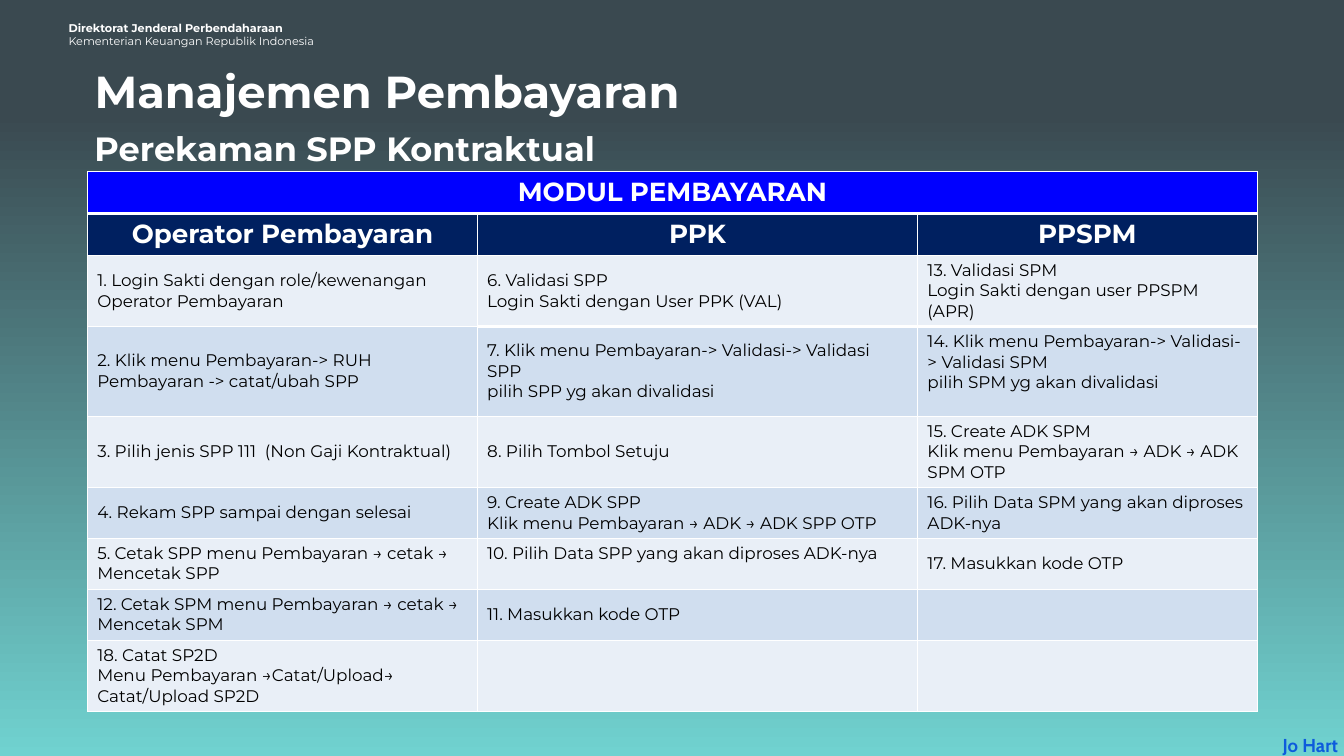
from dataclasses import dataclass

from lxml.etree import SubElement
from pptx import Presentation
from pptx.dml.color import RGBColor
from pptx.enum.text import MSO_ANCHOR, MSO_AUTO_SIZE, PP_ALIGN
from pptx.oxml.ns import qn
from pptx.util import Emu, Pt


@dataclass(frozen=True)
class Theme:
    """Colours, fonts and type sizes of the slide."""

    white: str = "FFFFFF"
    black: str = "000000"
    background_top: str = "3A4950"
    background_bottom: str = "70D2D0"
    module: str = "0000FF"
    role: str = "002060"
    bands: tuple = ("E9EFF7", "D0DEEF")
    signature: str = "0D5BDC"
    font: str = "Montserrat"
    signature_font: str = "Cabin"
    title_size: int = 48
    subtitle_size: int = 36
    heading_size: int = 28
    body_size: int = 18
    signature_size: int = 20
    agency_size: int = 12


THEME = Theme()
EMU_PER_PX = 9525
COLUMN_WIDTHS = (557, 629, 485)
ROW_HEIGHTS = (60, 59, 101, 128, 101, 72, 73, 72, 101)
TOP_ALIGNED_CELLS = {(3, 2), (6, 1)}
THIN_BORDER, THICK_BORDER = 1, 3

ROWS = (
    ("MODUL PEMBAYARAN", "", ""),
    ("Operator Pembayaran", "PPK", "PPSPM"),
    ("1. Login Sakti dengan role/kewenangan Operator Pembayaran",
     "6. Validasi SPP\nLogin Sakti dengan User PPK (VAL)",
     "13. Validasi SPM\nLogin Sakti dengan user PPSPM (APR)"),
    ("2. Klik menu Pembayaran-> RUH Pembayaran -> catat/ubah SPP",
     "7. Klik menu Pembayaran-> Validasi-> Validasi SPP\npilih SPP yg akan divalidasi",
     "14. Klik menu Pembayaran-> Validasi-> Validasi SPM\npilih SPM yg akan divalidasi"),
    ("3. Pilih jenis SPP 111  (Non Gaji Kontraktual)",
     "8. Pilih Tombol Setuju",
     "15. Create ADK SPM\nKlik menu Pembayaran → ADK → ADK SPM OTP"),
    ("4. Rekam SPP sampai dengan selesai",
     "9. Create ADK SPP\nKlik menu Pembayaran → ADK → ADK SPP OTP",
     "16. Pilih Data SPM yang akan diproses ADK-nya"),
    ("5. Cetak SPP menu Pembayaran → cetak → Mencetak SPP",
     "10. Pilih Data SPP yang akan diproses ADK-nya",
     "17. Masukkan kode OTP"),
    ("12. Cetak SPM menu Pembayaran → cetak → Mencetak SPM",
     "11. Masukkan kode OTP",
     ""),
    ("18. Catat SP2D\nMenu Pembayaran →Catat/Upload→ Catat/Upload SP2D", "", ""),
)


def px(length):
    """Turn whole px into EMU."""
    return Emu(length * EMU_PER_PX)


def rgb(value):
    """Turn a hex string into a colour."""
    return RGBColor.from_string(value)


def write_text(text_frame, text, *, size, color=THEME.white, font=THEME.font,
               bold=False, align=PP_ALIGN.LEFT):
    """Fill a text frame with one formatted paragraph per line of text."""
    text_frame.text = text
    for paragraph in text_frame.paragraphs:
        paragraph.alignment = align
        for run in paragraph.runs:
            run.font.name = font
            run.font.size = Pt(size)
            run.font.bold = bold
            run.font.color.rgb = rgb(color)


def set_frame(text_frame, horizontal, vertical, wrap=True):
    """Set the insets, wrapping and top anchor of a text frame."""
    text_frame.margin_left = text_frame.margin_right = px(horizontal)
    text_frame.margin_top = text_frame.margin_bottom = px(vertical)
    text_frame.word_wrap = wrap
    text_frame.auto_size = MSO_AUTO_SIZE.NONE
    text_frame.vertical_anchor = MSO_ANCHOR.TOP


def add_text(slide, box, text, insets=(10, 5), wrap=True, **text_format):
    """Add a text box and return its text frame."""
    text_frame = slide.shapes.add_textbox(*map(px, box)).text_frame
    set_frame(text_frame, *insets, wrap)
    write_text(text_frame, text, **text_format)
    return text_frame


def set_background(slide):
    """Give the slide a vertical gradient."""
    fill = slide.background.fill
    fill.gradient()
    fill.gradient_angle = 270
    stops = ((0.15, THEME.background_top), (1, THEME.background_bottom))
    for stop, (position, color) in zip(fill.gradient_stops, stops):
        stop.position = position
        stop.color.rgb = rgb(color)


def set_title(slide, text):
    """Place and format the title placeholder."""
    title = slide.shapes.title
    title.left, title.top, title.width, title.height = map(px, (125, 81, 1025, 97))
    set_frame(title.text_frame, 10, 10)
    write_text(title.text_frame, text, size=THEME.title_size, bold=True)


def has_thick_rule_below(row, column):
    """Tell whether a heavy rule runs under a cell."""
    return row == 0 or (row == 2 and column > 0)


def add_borders(cell, row, column):
    """Draw the four white borders of a cell."""
    top = THICK_BORDER if has_thick_rule_below(row - 1, column) else THIN_BORDER
    bottom = THICK_BORDER if has_thick_rule_below(row, column) else THIN_BORDER
    widths = {"L": THIN_BORDER, "R": THIN_BORDER, "T": top, "B": bottom}
    properties = cell._tc.get_or_add_tcPr()
    for side, width in widths.items():
        line = SubElement(properties, qn(f"a:ln{side}"), w=str(Pt(width)))
        fill = SubElement(line, qn("a:solidFill"))
        SubElement(fill, qn("a:srgbClr"), val=THEME.white)


def format_cell(cell, row, column, text):
    """Set the borders, fill, insets and text of a cell."""
    add_borders(cell, row, column)
    is_heading = row < 2
    heading_fill = THEME.role if row else THEME.module
    cell.fill.solid()
    cell.fill.fore_color.rgb = rgb(heading_fill if is_heading else THEME.bands[row % 2])
    cell.margin_left = cell.margin_right = px(14)
    cell.margin_top = cell.margin_bottom = px(7)
    is_top = (row, column) in TOP_ALIGNED_CELLS
    cell.vertical_anchor = MSO_ANCHOR.TOP if is_top else MSO_ANCHOR.MIDDLE
    if text:
        write_text(
            cell.text_frame, text, bold=is_heading,
            size=THEME.heading_size if is_heading else THEME.body_size,
            color=THEME.white if is_heading else THEME.black,
            align=PP_ALIGN.CENTER if is_heading else PP_ALIGN.LEFT,
        )


def add_steps_table(slide):
    """Add the table of payment steps by role."""
    box = (125, 245, sum(COLUMN_WIDTHS), sum(ROW_HEIGHTS))
    table = slide.shapes.add_table(len(ROWS), len(COLUMN_WIDTHS), *map(px, box)).table
    for column, width in zip(table.columns, COLUMN_WIDTHS):
        column.width = px(width)
    for row, height in zip(table.rows, ROW_HEIGHTS):
        row.height = px(height)
    table.cell(0, 0).merge(table.cell(0, len(COLUMN_WIDTHS) - 1))
    for row, texts in enumerate(ROWS):
        for column, text in enumerate(texts):
            format_cell(table.cell(row, column), row, column, text)


def main():
    """Build and save the slide."""
    presentation = Presentation()
    presentation.slide_width, presentation.slide_height = px(1920), px(1080)
    slide = presentation.slides.add_slide(presentation.slide_layouts[5])
    set_background(slide)
    agency = add_text(
        slide, (79, 11, 668, 78),
        "Direktorat Jenderal Perbendaharaan\nKementerian Keuangan Republik Indonesia",
        insets=(19, 19), size=THEME.agency_size,
    )
    agency.paragraphs[0].runs[0].font.bold = True
    add_text(slide, (1824, 1048, 96, 32), "Jo Hart", insets=(0, 0), bold=True,
             size=THEME.signature_size, color=THEME.signature,
             font=THEME.signature_font, align=PP_ALIGN.CENTER)
    add_steps_table(slide)
    set_title(slide, "Manajemen Pembayaran")
    add_text(slide, (125, 178, 747, 68), "Perekaman SPP Kontraktual",
             wrap=False, size=THEME.subtitle_size, bold=True)
    presentation.save("out.pptx")


if __name__ == "__main__":
    main()
